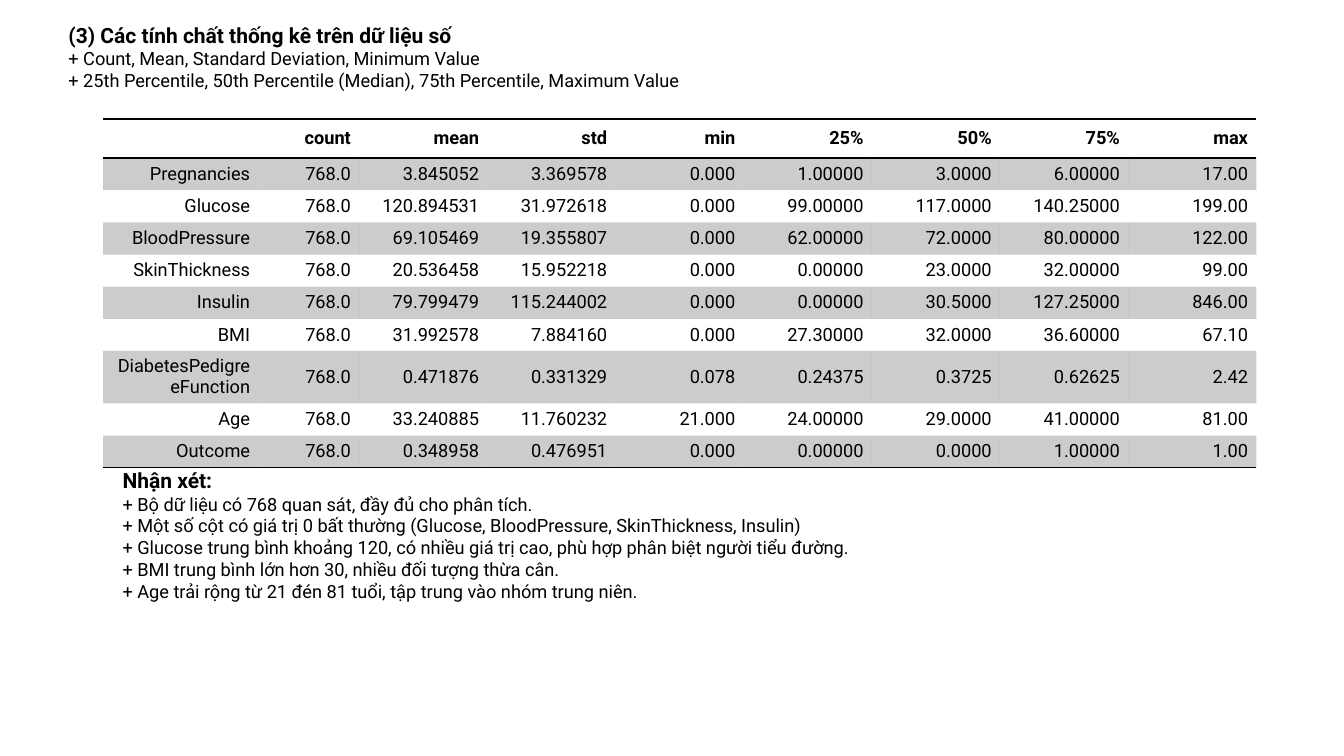
from lxml import etree
from pptx import Presentation
from pptx.dml.color import RGBColor
from pptx.enum.text import MSO_ANCHOR, MSO_AUTO_SIZE, PP_ALIGN
from pptx.oxml import parse_xml
from pptx.oxml.ns import nsdecls, qn
from pptx.util import Cm, Pt

BLACK = "000000"
HEADING = {"name": "Roboto", "size": Pt(15), "bold": True}
BODY = {"name": "Roboto", "size": Pt(13), "bold": False}
TABLE_HEAD = {**BODY, "bold": True}
NO_STYLE = "{2D5ABB26-0587-4C30-8999-92F81FD0307C}"
STRIPE_OPACITY = 20
ROW_HEIGHT = 0.81
TALL_ROW_HEIGHT = 1.17
COLUMN_WIDTHS = [3.91, 2.54] + [3.23] * 7

INTRO = [
    "(3) Các tính chất thống kê trên dữ liệu số",
    "+ Count, Mean, Standard Deviation, Minimum Value",
    "+ 25th Percentile, 50th Percentile (Median), 75th Percentile, Maximum Value",
]
REMARKS = [
    "Nhận xét:",
    "+ Bộ dữ liệu có 768 quan sát, đầy đủ cho phân tích.",
    "+ Một số cột có giá trị 0 bất thường (Glucose, BloodPressure, SkinThickness, Insulin)",
    "+ Glucose trung bình khoảng 120, có nhiều giá trị cao, phù hợp phân biệt người tiểu đường.",
    "+ BMI trung bình lớn hơn 30, nhiều đối tượng thừa cân.",
    "+ Age trải rộng từ 21 đén 81 tuổi, tập trung vào nhóm trung niên.",
]
STATISTICS = [
    ["", "count", "mean", "std", "min", "25%", "50%", "75%", "max"],
    ["Pregnancies", "768.0", "3.845052", "3.369578", "0.000", "1.00000", "3.0000", "6.00000", "17.00"],
    ["Glucose", "768.0", "120.894531", "31.972618", "0.000", "99.00000", "117.0000", "140.25000", "199.00"],
    ["BloodPressure", "768.0", "69.105469", "19.355807", "0.000", "62.00000", "72.0000", "80.00000", "122.00"],
    ["SkinThickness", "768.0", "20.536458", "15.952218", "0.000", "0.00000", "23.0000", "32.00000", "99.00"],
    ["Insulin", "768.0", "79.799479", "115.244002", "0.000", "0.00000", "30.5000", "127.25000", "846.00"],
    ["BMI", "768.0", "31.992578", "7.884160", "0.000", "27.30000", "32.0000", "36.60000", "67.10"],
    ["DiabetesPedigreeFunction", "768.0", "0.471876", "0.331329", "0.078", "0.24375", "0.3725", "0.62625", "2.42"],
    ["Age", "768.0", "33.240885", "11.760232", "21.000", "24.00000", "29.0000", "41.00000", "81.00"],
    ["Outcome", "768.0", "0.348958", "0.476951", "0.000", "0.00000", "0.0000", "1.00000", "1.00"],
]


def set_color(color_format, color):
    color_format.rgb = RGBColor.from_string(color)


def apply_format(target, values):
    for name, value in values.items():
        setattr(target, name, value)


def write_paragraph(paragraph, text, font_format, alignment):
    paragraph.alignment = alignment
    run = paragraph.add_run()
    run.text = text
    apply_format(run.font, font_format)
    set_color(run.font.color, BLACK)


def write_block(shape, lines, left, top, width, height):
    apply_format(shape, {"left": Cm(left), "top": Cm(top), "width": Cm(width), "height": Cm(height)})
    frame = shape.text_frame
    apply_format(frame, {
        "word_wrap": True,
        "auto_size": MSO_AUTO_SIZE.SHAPE_TO_FIT_TEXT,
        "vertical_anchor": MSO_ANCHOR.TOP,
    })
    for index, line in enumerate(lines):
        paragraph = frame.add_paragraph() if index else frame.paragraphs[0]
        write_paragraph(paragraph, line, BODY if index else HEADING, PP_ALIGN.LEFT)


def add_borders(cell, sides, color):
    properties = cell._tc.get_or_add_tcPr()
    for position, side in enumerate(sides):
        properties.insert(position, parse_xml(
            f'<a:{side} {nsdecls("a")} w="{Pt(1)}"><a:solidFill>'
            f'<a:srgbClr val="{color}"/></a:solidFill></a:{side}>'
        ))


def fill_stripe(cell, color, opacity):
    cell.fill.solid()
    set_color(cell.fill.fore_color, color)
    color_element = cell._tc.tcPr.find(".//" + qn("a:srgbClr"))
    etree.SubElement(color_element, qn("a:alpha"), val=str(opacity * 1000))


def format_cell(cell, text, font_format, striped, sides):
    apply_format(cell, {
        "vertical_anchor": MSO_ANCHOR.MIDDLE,
        "margin_left": Cm(0.21),
        "margin_right": Cm(0.21),
        "margin_top": Cm(0.11),
        "margin_bottom": Cm(0.11),
    })
    if striped:
        fill_stripe(cell, BLACK, STRIPE_OPACITY)
    else:
        cell.fill.background()
    add_borders(cell, sides, BLACK)
    write_paragraph(cell.text_frame.paragraphs[0], text, font_format, PP_ALIGN.RIGHT)


def add_statistics_table(slide, rows, left, top):
    heights = [TALL_ROW_HEIGHT if len(row[0]) > 20 else ROW_HEIGHT for row in rows]
    frame = slide.shapes.add_table(
        len(rows), len(COLUMN_WIDTHS), Cm(left), Cm(top), Cm(sum(COLUMN_WIDTHS)), Cm(sum(heights))
    )
    table = frame.table
    apply_format(table, {"first_row": True, "horz_banding": False})
    next(frame.element.iter(qn("a:tableStyleId"))).text = NO_STYLE
    for column, width in zip(table.columns, COLUMN_WIDTHS):
        column.width = Cm(width)
    borders = {0: ["lnT", "lnB"], len(rows) - 1: ["lnB"]}
    for row_index, (row, height) in enumerate(zip(rows, heights)):
        table.rows[row_index].height = Cm(height)
        font_format = BODY if row_index else TABLE_HEAD
        for column_index, text in enumerate(row):
            cell = table.cell(row_index, column_index)
            format_cell(cell, text, font_format, row_index % 2 == 1, borders.get(row_index, []))


def main():
    presentation = Presentation()
    apply_format(presentation, {"slide_width": Cm(33.87), "slide_height": Cm(19.05)})
    slide = presentation.slides.add_slide(presentation.slide_layouts[5])
    write_block(slide.shapes.title, INTRO, 1.47, 0.43, 31.32, 2.57)
    add_statistics_table(slide, STATISTICS, 2.6, 3)
    remarks_box = slide.shapes.add_textbox(0, 0, 0, 0)
    write_block(remarks_box, REMARKS, 2.84, 11.66, 28.14, 3.68)
    presentation.save("out.pptx")


if __name__ == "__main__":
    main()
